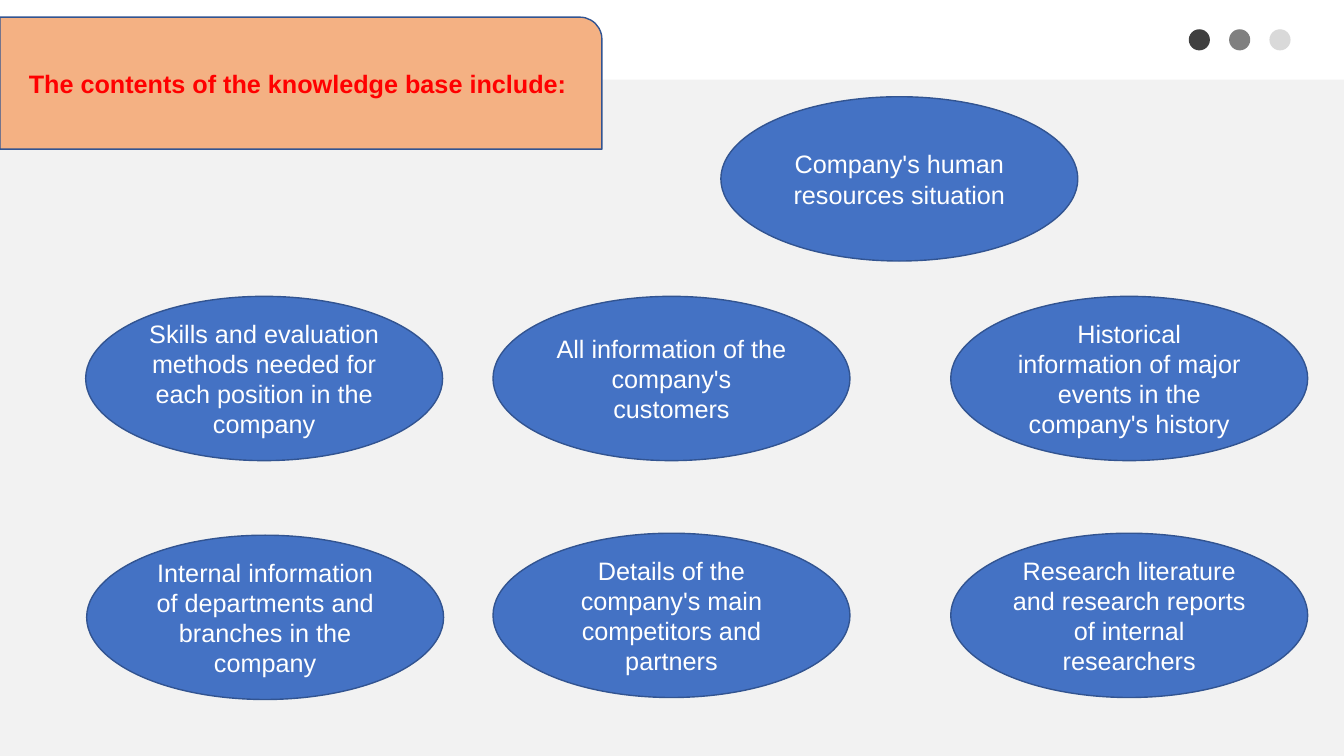
from dataclasses import dataclass

from pptx import Presentation
from pptx.dml.color import RGBColor
from pptx.enum.shapes import MSO_SHAPE as Preset
from pptx.enum.text import MSO_ANCHOR as Anchor, PP_ALIGN as Align
from pptx.util import Inches, Pt


@dataclass(frozen=True)
class Theme:
    background: str = "F2F2F2"
    band: str = "FFFFFF"
    dots: tuple = ("404040", "808080", "D9D9D9")
    topic: str = "4472C4"
    topic_text: str = "FFFFFF"
    title: str = "F4B183"
    title_text: str = "FF0000"
    outline: str = "325491"
    outline_width: float = 1
    font: str = "Arial"
    size: int = 18


theme = Theme()


def add_plain(preset, left, top, width, height, fill):
    shape = page.shapes.add_shape(
        preset, Inches(left), Inches(top), Inches(width), Inches(height)
    )
    shape.shadow.inherit = False
    shape.fill.solid()
    shape.fill.fore_color.rgb = RGBColor.from_string(fill)
    shape.line.fill.background()
    return shape


def add_label(shape, text, color, bold=False):
    shape.line.color.rgb = RGBColor.from_string(theme.outline)
    shape.line.width = Pt(theme.outline_width)
    frame = shape.text_frame
    frame.word_wrap = True
    frame.vertical_anchor = Anchor.MIDDLE
    frame.text = text
    para = frame.paragraphs[0]
    para.alignment = Align.CENTER
    font = para.runs[0].font
    font.name = theme.font
    font.size = Pt(theme.size)
    font.bold = bold
    font.color.rgb = RGBColor.from_string(color)


deck = Presentation()
deck.slide_width = Inches(13.33)
deck.slide_height = Inches(7.5)
page = deck.slides.add_slide(deck.slide_layouts[6])
page.background.fill.solid()
page.background.fill.fore_color.rgb = RGBColor.from_string(theme.background)

add_plain(Preset.RECTANGLE, 0, 0, 13.33, 0.79, theme.band)
for index, color in enumerate(theme.dots):
    add_plain(Preset.OVAL, 11.79 + 0.4 * index, 0.29, 0.21, 0.21, color)

topics = [
    (7.15, 0.96, "Company's human resources situation"),
    (0.86, 5.31, "Internal information of departments and branches in the company"),
    (0.85, 2.94, "Skills and evaluation methods needed for each position in the company"),
    (4.89, 5.29, "Details of the company's main competitors and partners"),
    (4.89, 2.94, "All information of the company's customers"),
    (9.43, 2.94, "Historical information of major events in the company's history"),
    (9.43, 5.29, "Research literature and research reports of internal researchers"),
]
for left, top, text in topics:
    topic = add_plain(Preset.OVAL, left, top, 3.54, 1.63, theme.topic)
    add_label(topic, text, theme.topic_text)

title = add_plain(Preset.ROUND_1_RECTANGLE, 0, 0.17, 5.97, 1.31, theme.title)
add_label(title, "The contents of the knowledge base include:", theme.title_text, bold=True)

deck.save("out.pptx")
